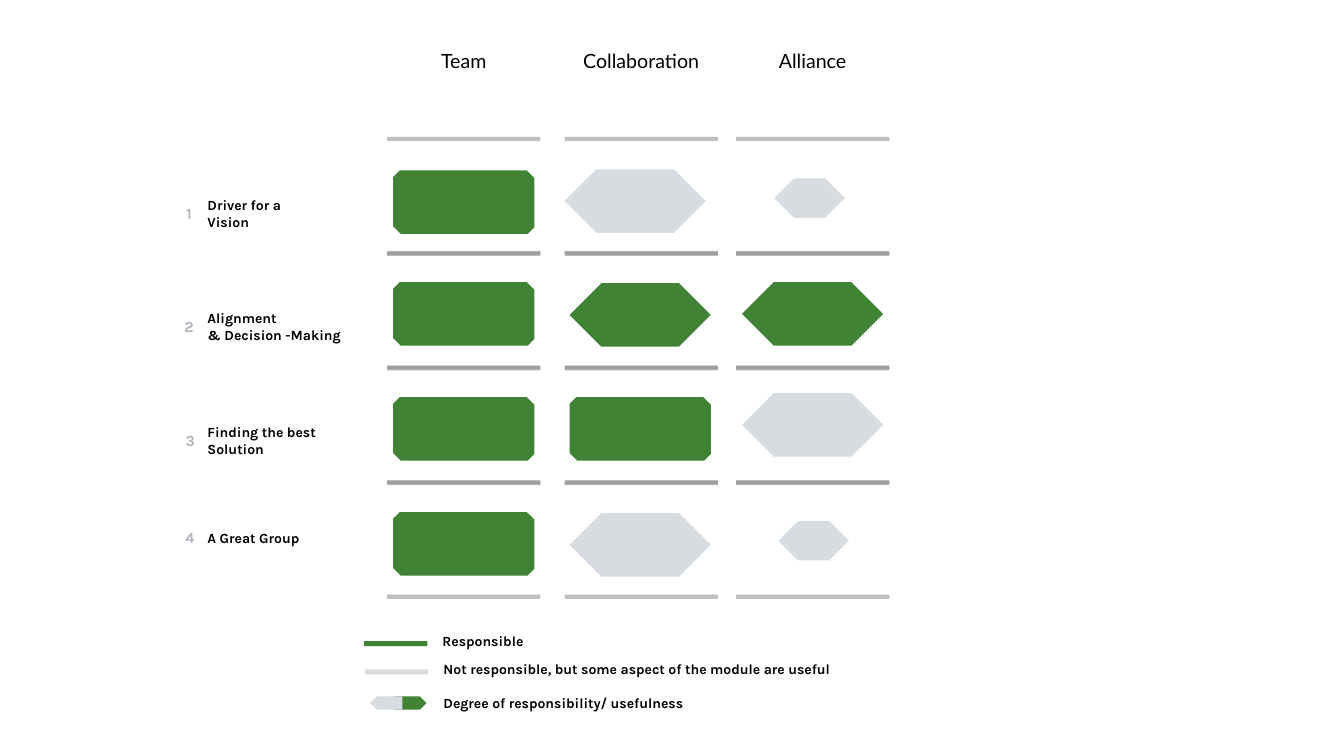
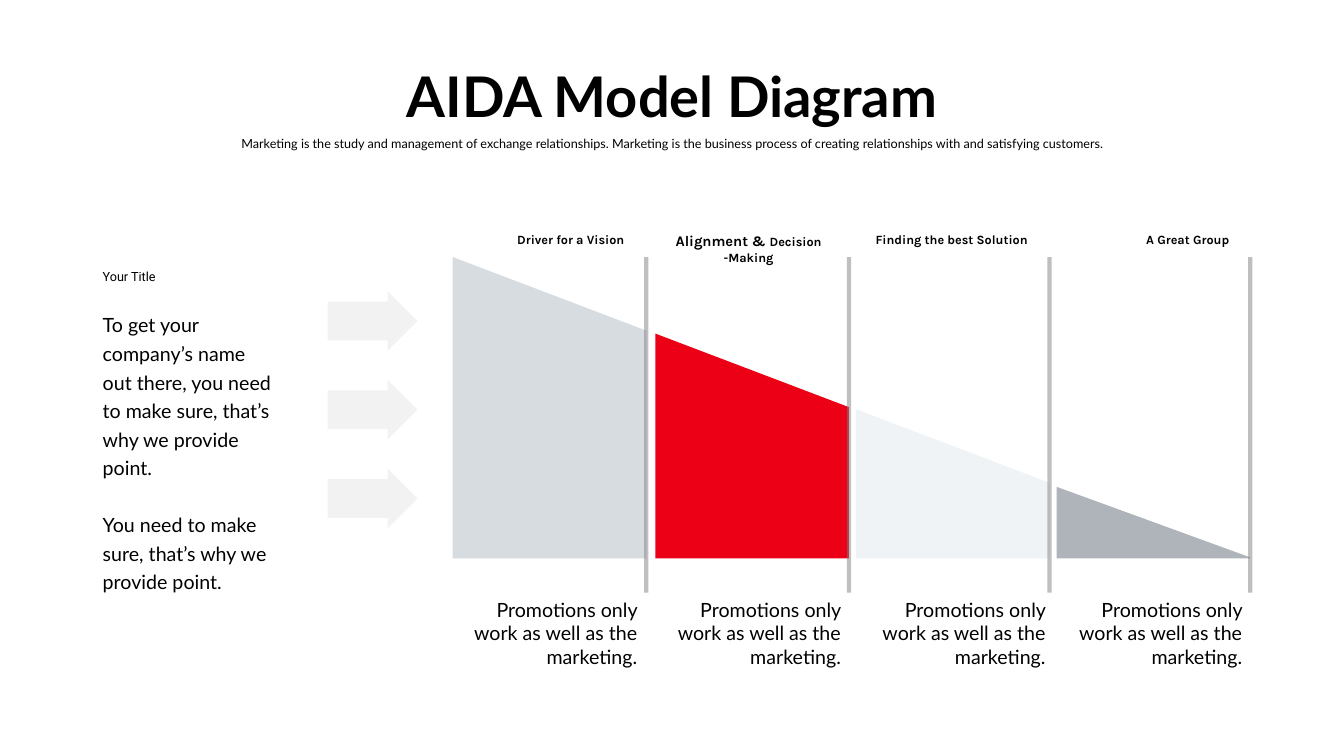
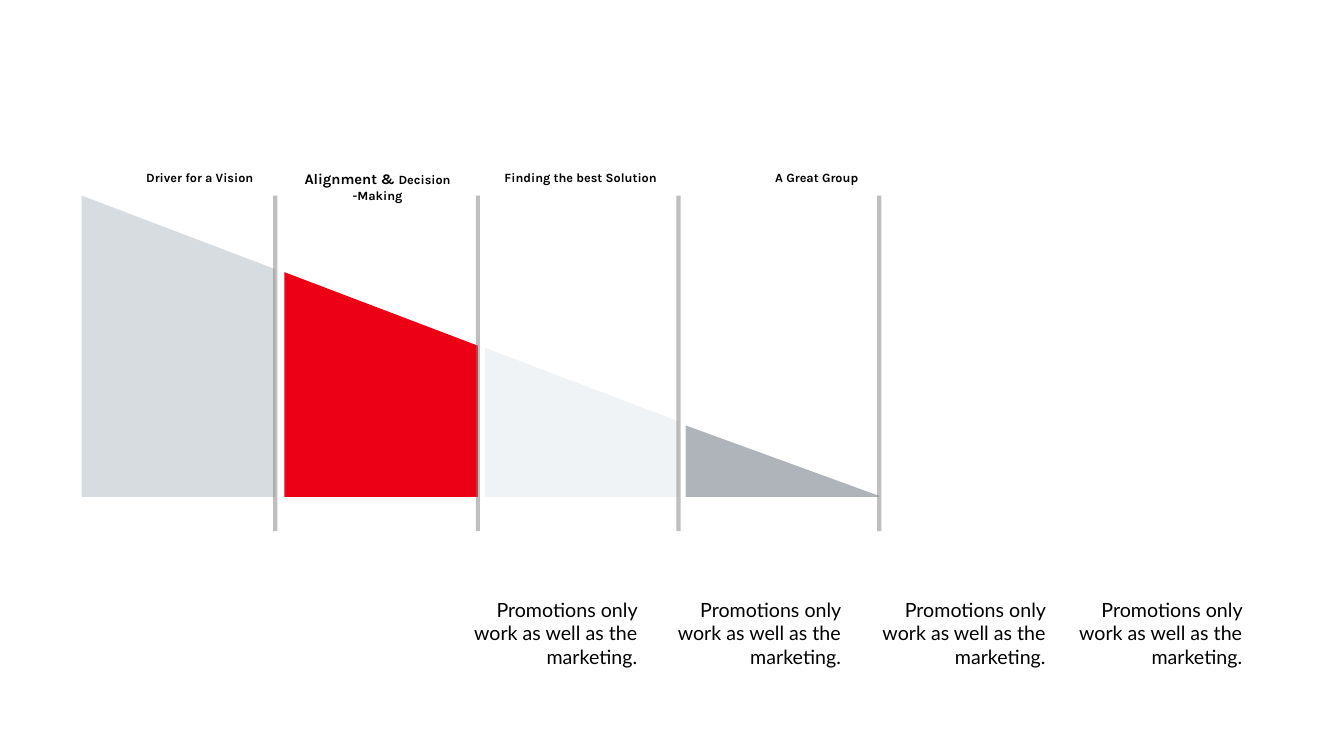
from dataclasses import dataclass

from lxml import etree
from pptx import Presentation
from pptx.dml.color import RGBColor
from pptx.enum.shapes import MSO_CONNECTOR as Connector, MSO_SHAPE as Shape
from pptx.enum.text import MSO_ANCHOR as Anchor, MSO_AUTO_SIZE as AutoSize, PP_ALIGN as Align
from pptx.oxml.ns import qn
from pptx.util import Inches, Pt


@dataclass(frozen=True)
class TextStyle:
    font: str
    size: float
    bold: bool = False
    color: str = "000000"


@dataclass(frozen=True)
class Theme:
    green: str = "408335"
    red: str = "EC0016"
    silver: str = "D7DCE1"
    mist: str = "F0F3F5"
    steel: str = "AFB4BB"
    gray: str = "808080"
    white: str = "FFFFFF"
    rule_width: float = 3
    title: TextStyle = TextStyle("Lato", 40, True)
    body: TextStyle = TextStyle("Lato", 14)
    subtitle: TextStyle = TextStyle("Lato", 9)
    kicker: TextStyle = TextStyle("Roboto", 9)
    label: TextStyle = TextStyle("Karla", 10, True)
    number: TextStyle = TextStyle("Karla", 11, True, "AFB4BB")
    stage: TextStyle = TextStyle("Karla", 9, True)
    stage_large: float = 10.5


THEME = Theme()
OCTAGON = (0.104, 0.119)
HEXAGON = (0.5, 0.5)
SQUARE = (0, 0)
FULL = (1.4, 0.63)
SMALL = (0.7, 0.39)


def inches(*lengths):
    return [Inches(length) for length in lengths]


def set_alpha(fill, percent):
    color = fill._xPr.find(qn("a:solidFill"))[0]
    etree.SubElement(color, qn("a:alpha")).set("val", str(percent * 1000))


def paint(shape, color, alpha=None):
    shape.shadow.inherit = False
    shape.fill.solid()
    shape.fill.fore_color.rgb = RGBColor.from_string(color)
    shape.line.fill.background()
    if alpha is not None:
        set_alpha(shape.fill, alpha)


def style_paragraph(para, style, align):
    para.alignment = align
    font = para.font
    font.name, font.size, font.bold = style.font, Pt(style.size), style.bold
    font.color.rgb = RGBColor.from_string(style.color)


def add_text(slide, at, paragraphs, style, align=Align.LEFT, wrap=True):
    """Add a text box; each paragraph is a list of (text, size override) spans or a string."""
    box = slide.shapes.add_textbox(*inches(*at))
    frame = box.text_frame
    frame.word_wrap = wrap
    frame.auto_size = AutoSize.SHAPE_TO_FIT_TEXT
    for index, content in enumerate(paragraphs):
        para = frame.add_paragraph() if index else frame.paragraphs[0]
        style_paragraph(para, style, align)
        spans = [(content, None)] if isinstance(content, str) else content
        for text, size in spans:
            span = para.add_run()
            span.text = text
            if size:
                span.font.size = Pt(size)
    return box


def add_rule(slide, start, end):
    rule = slide.shapes.add_connector(Connector.STRAIGHT, *inches(*start, *end))
    rule.line.width = Pt(THEME.rule_width)
    rule.line.color.rgb = RGBColor.from_string(THEME.gray)
    set_alpha(rule.line.fill, 50)
    etree.SubElement(rule._element.spPr, qn("a:effectLst"))


def add_badge(slide, at, snips, color):
    badge = slide.shapes.add_shape(Shape.SNIP_2_DIAG_RECTANGLE, *inches(*at))
    badge.adjustments[0], badge.adjustments[1] = snips
    paint(badge, color)


def add_number(slide, left, top, text):
    square = slide.shapes.add_shape(Shape.RECTANGLE, *inches(left, top, 0.31, 0.31))
    paint(square, THEME.white)
    frame = square.text_frame
    frame.margin_left = frame.margin_right = frame.margin_top = frame.margin_bottom = 0
    frame.word_wrap = False
    frame.vertical_anchor = Anchor.MIDDLE
    frame.text = text
    style_paragraph(frame.paragraphs[0], THEME.number, Align.CENTER)


def add_polygon(slide, points, color):
    corners = [tuple(inches(*point)) for point in points]
    builder = slide.shapes.build_freeform(*corners[0], scale=1.0)
    builder.add_line_segments(corners[1:], close=True)
    paint(builder.convert_to_shape(), color)


def add_funnel(slide, left, top):
    """Draw the four falling stages with their dividers and headings."""
    stages = [
        (0, 0, THEME.silver, "Driver for a Vision", Align.RIGHT),
        (2.01, 0.76, THEME.red,
         [("Alignment & ", THEME.stage_large), ("Decision -Making", None)], Align.CENTER),
        (4, 1.51, THEME.mist, "Finding the best Solution", Align.RIGHT),
        (5.99, 2.28, THEME.steel, "A Great Group", Align.RIGHT),
    ]
    width, drop, bottom = 1.92, 0.73, top + 2.99
    for shift, fall, color, _, _ in stages:
        near, far, high = left + shift, left + shift + width, top + fall
        low = min(high + drop, bottom - 0.01)
        add_polygon(slide, [(near, high), (far, low), (far, bottom), (near, bottom)], color)
    for index, (shift, _, _, heading, align) in enumerate(stages):
        divider = left + shift + width
        add_rule(slide, (divider, top), (divider, top + 3.33))
        add_text(slide, (left + 0.07 + 2 * index, top - 0.3, 1.73, 0.25),
                 [heading], THEME.stage, align)


def add_captions(slide):
    for left in (4.56, 6.58, 8.61, 10.56):
        add_text(slide, (left, 5.88, 1.86, 0.81),
                 ["Promotions only work as well as the marketing."], THEME.body, Align.RIGHT)


def add_legend(slide):
    entries = [
        (4.29, 6.23, "Responsible"),
        (4.3, 6.5, "Not responsible, but some aspect of the module are useful"),
        (4.3, 6.84, "Degree of responsibility/ usefulness"),
    ]
    for left, top, text in entries:
        add_text(slide, (left, top, 4.34, 0.27), [text], THEME.label)
    keys = [
        ((3.61, 6.36, 0.63, 0.05), OCTAGON, THEME.green),
        ((3.62, 6.64, 0.63, 0.05), OCTAGON, THEME.silver),
        ((3.67, 6.91, 0.42, 0.13), HEXAGON, THEME.silver),
        ((3.85, 6.91, 0.38, 0.13), HEXAGON, THEME.green),
        ((3.85, 6.91, 0.14, 0.13), SQUARE, THEME.silver),
    ]
    for at, snips, color in keys:
        add_badge(slide, at, snips, color)


def build_matrix_slide(slide):
    for name, left in (("Team", 3.84), ("Collaboration", 5.6), ("Alliance", 7.3)):
        add_text(slide, (left - 0.17, 0.44, 1.86, 0.34), [name], THEME.body, Align.CENTER)
        # Two overlapping sets of four rules make the inner ones darker.
        for first in (1.38, 2.51):
            for row in range(4):
                top = first + 1.137 * row
                add_rule(slide, (left, top), (left + 1.52, top))

    rows = [
        (1.9, 1.24, ["Driver for a Vision"], 1.72, 1.96),
        (3.02, 1.73, ["Alignment", "& Decision -Making"], 1.72, 3.08),
        (4.15, 1.73, ["Finding the best Solution"], 1.73, 4.21),
        (5.2, 1.73, ["A Great Group"], 1.73, 5.18),
    ]
    for number, (top, width, lines, number_left, number_top) in enumerate(rows, 1):
        add_text(slide, (1.96, top, width, 0.44), lines, THEME.label)
        add_number(slide, number_left, number_top, str(number))

    groups = [
        (OCTAGON, FULL, THEME.green,
         [(3.9, 1.69), (3.9, 2.8), (3.9, 3.94), (3.9, 5.08), (5.65, 3.94)]),
        (HEXAGON, FULL, THEME.green, [(5.65, 2.81), (7.36, 2.8)]),
        (HEXAGON, FULL, THEME.silver, [(5.6, 1.68), (5.65, 5.09), (7.36, 3.9)]),
        (HEXAGON, SMALL, THEME.silver, [(7.68, 1.77), (7.72, 5.17)]),
    ]
    for snips, size, color, places in groups:
        for place in places:
            add_badge(slide, place + size, snips, color)
    add_legend(slide)


def build_aida_slide(slide):
    add_funnel(slide, 4.49, 2.55)
    for index in range(3):
        arrow = slide.shapes.add_shape(
            Shape.RIGHT_ARROW, *inches(3.25, 2.89 + 0.88 * index, 0.89, 0.59))
        arrow.adjustments[0], arrow.adjustments[1] = 0.65, 0.5
        paint(arrow, THEME.gray, alpha=10)
    add_captions(slide)

    intro = add_text(slide, (0.92, 3.01, 1.92, 2.88), [
        "To get your company’s name out there, you need to make sure, "
        "that’s why we provide point.",
        "You need to make sure, that’s why we provide point.",
    ], THEME.body)
    leading = Pt(20.4)
    for para in intro.text_frame.paragraphs:
        para.line_spacing = leading
    intro.text_frame.paragraphs[1].space_before = leading
    add_text(slide, (0.92, 2.62, 1.92, 0.25), ["Your Title"], THEME.kicker)

    add_text(slide, (3.75, 0.56, 5.83, 0.77), ["AIDA Model Diagram"],
             THEME.title, Align.CENTER, wrap=False)
    add_text(slide, (1.46, 1.3, 10.41, 0.25), [
        "Marketing is the study and management of exchange relationships. Marketing is the "
        "business process of creating relationships with and satisfying customers.",
    ], THEME.subtitle, Align.CENTER)


def build_funnel_slide(slide):
    add_funnel(slide, 0.81, 1.94)
    add_captions(slide)


def main():
    deck = Presentation()
    deck.slide_width, deck.slide_height = inches(13.33, 7.5)
    blank = deck.slide_layouts[6]
    for build in (build_matrix_slide, build_aida_slide, build_funnel_slide):
        build(deck.slides.add_slide(blank))
    deck.save("out.pptx")


if __name__ == "__main__":
    main()
